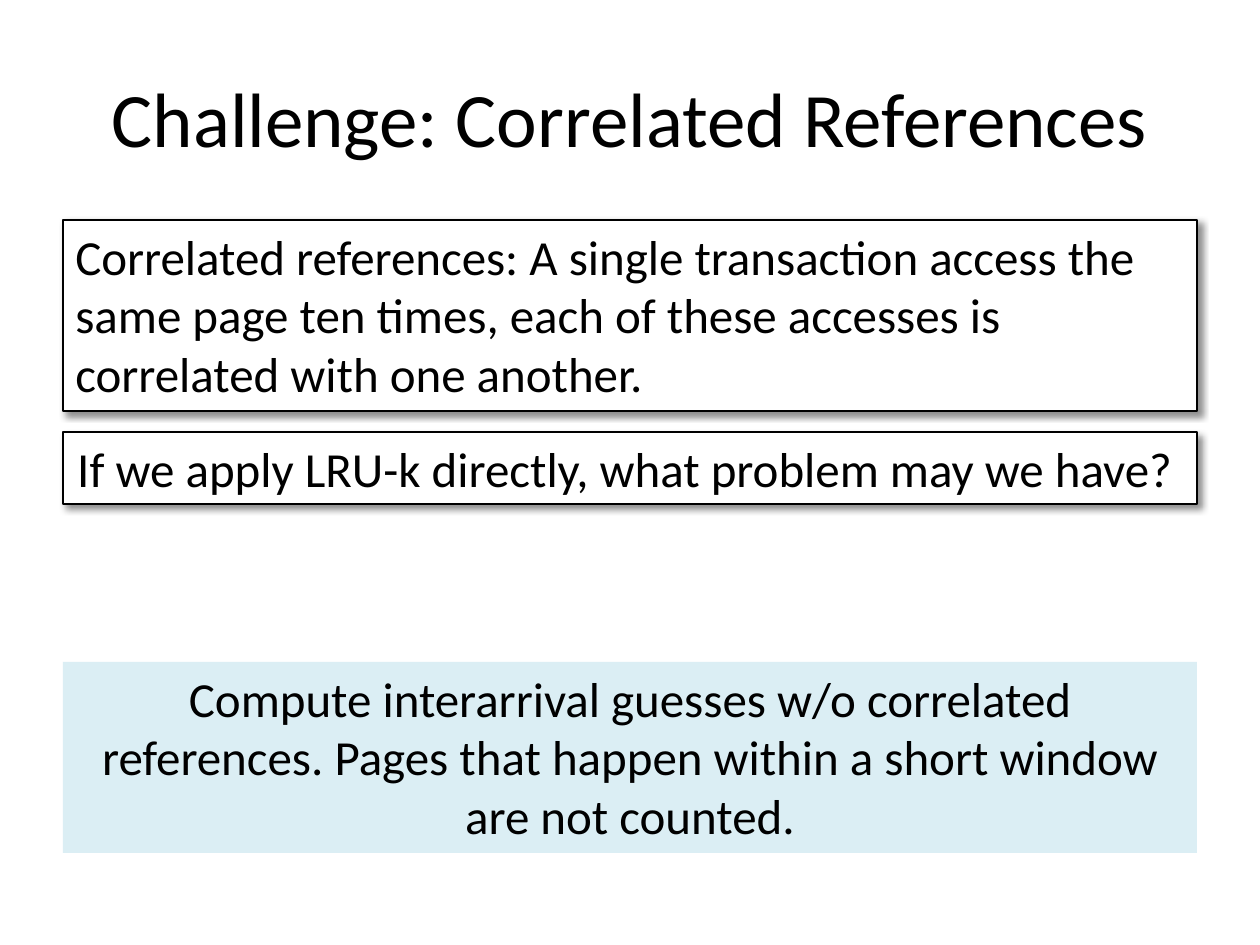
from lxml import etree
from pptx import Presentation
from pptx import util as u
from pptx.dml.color import RGBColor
from pptx.enum import shapes, text
from pptx.oxml import ns

BLACK = RGBColor(0x00, 0x00, 0x00)
WHITE = RGBColor(0xFF, 0xFF, 0xFF)
PALE_BLUE = RGBColor(0xDB, 0xEE, 0xF4)
LEFT, WIDTH = 63, 1134


def px(n):
    return u.Emu(round(n * 914400 / 126))


def write(frame, words, size=28, align=text.PP_ALIGN.CENTER,
          anchor=text.MSO_ANCHOR.TOP):
    frame.word_wrap = True
    frame.auto_size = text.MSO_AUTO_SIZE.NONE
    frame.vertical_anchor = anchor
    paragraph = frame.paragraphs[0]
    paragraph.alignment = align
    run = paragraph.add_run()
    run.text = words
    run.font.name = "Calibri"
    run.font.size = u.Pt(size)
    run.font.color.rgb = BLACK


prs = Presentation()
prs.slide_width, prs.slide_height = px(1260), px(945)
slide = prs.slides.add_slide(prs.slide_layouts[5])

heading = slide.shapes.title
heading.left, heading.top = px(LEFT), px(38)
heading.width, heading.height = px(WIDTH), px(158)
write(heading.text_frame, "Challenge: Correlated References", size=44,
      anchor=text.MSO_ANCHOR.MIDDLE)

statements = [
    (220, 191, WHITE, True, text.PP_ALIGN.LEFT,
     "Correlated references: A single transaction access the same page ten "
     "times, each of these accesses is correlated with one another."),
    (432, 72, WHITE, True, text.PP_ALIGN.CENTER,
     "If we apply LRU-k directly, what problem may we have? "),
    (662, 191, PALE_BLUE, False, text.PP_ALIGN.CENTER,
     "Compute interarrival guesses w/o correlated references. Pages that "
     "happen within a short window are not counted."),
]

for top, height, fill, framed, align, words in statements:
    panel = slide.shapes.add_shape(shapes.MSO_SHAPE.RECTANGLE, px(LEFT),
                                   px(top), px(WIDTH), px(height))
    panel.fill.solid()
    panel.fill.fore_color.rgb = fill
    panel.shadow.inherit = False
    if framed:
        panel.line.color.rgb = BLACK
        panel.line.width = u.Pt(0.75)
        effects = panel._element.spPr.find(ns.qn("a:effectLst"))
        shadow = etree.SubElement(
            effects, ns.qn("a:outerShdw"), blurRad=str(u.Pt(4)),
            dist=str(u.Pt(3)), dir="2700000", algn="tl", rotWithShape="0")
        tint = etree.SubElement(shadow, ns.qn("a:srgbClr"), val=str(BLACK))
        etree.SubElement(tint, ns.qn("a:alpha"), val="43000")
    else:
        panel.line.fill.background()
    write(panel.text_frame, words, align=align)

prs.save("out.pptx")
